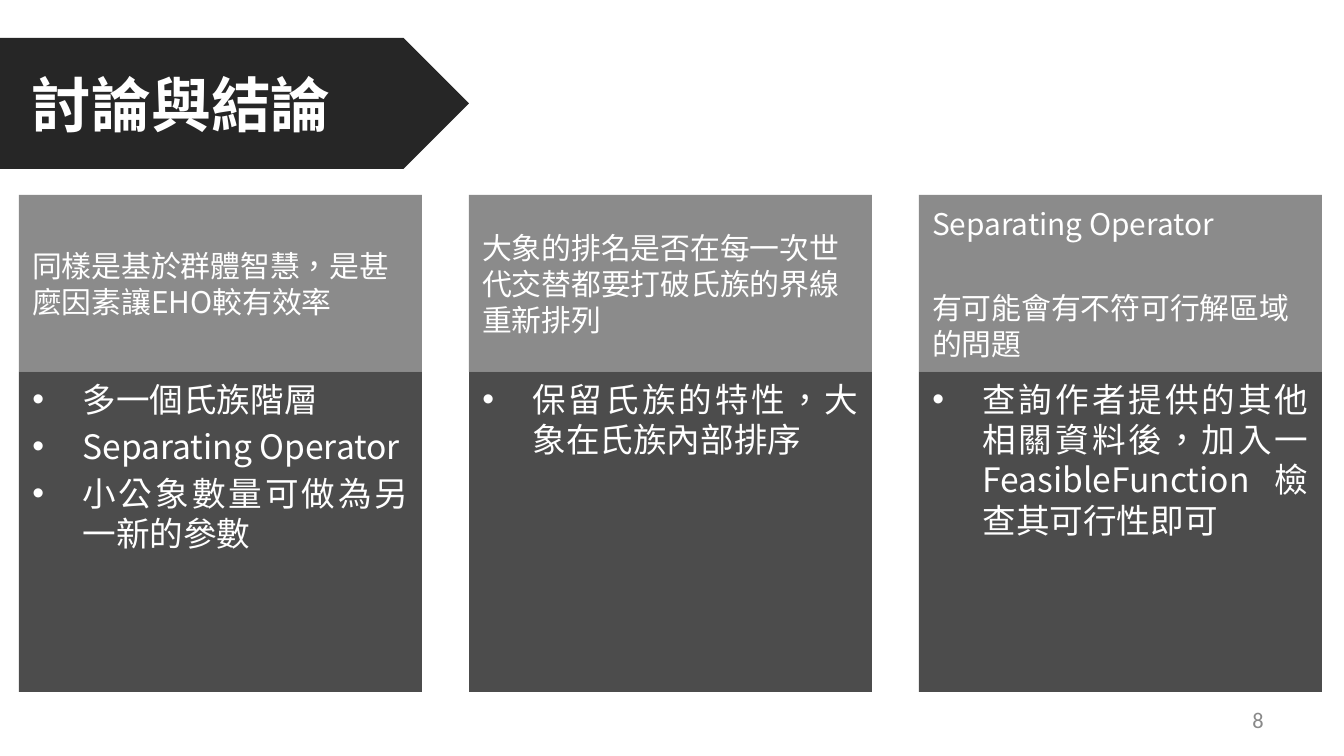
from dataclasses import dataclass

from lxml import etree
from pptx import Presentation
from pptx.dml.color import RGBColor
from pptx.enum.lang import MSO_LANGUAGE_ID
from pptx.enum.shapes import MSO_SHAPE
from pptx.enum.text import MSO_ANCHOR, MSO_AUTO_SIZE, PP_ALIGN
from pptx.oxml.ns import qn
from pptx.util import Pt

PLATE, RECT = MSO_SHAPE.PENTAGON, MSO_SHAPE.RECTANGLE
TOP, MIDDLE = MSO_ANCHOR.TOP, MSO_ANCHOR.MIDDLE
LEFT, CENTER, RIGHT = PP_ALIGN.LEFT, PP_ALIGN.CENTER, PP_ALIGN.RIGHT
JUSTIFY = PP_ALIGN.JUSTIFY
NO_FIT = MSO_AUTO_SIZE.NONE
ZH_TW = MSO_LANGUAGE_ID.TRADITIONAL_CHINESE
EMU = 914400 / 134.4  # one px


@dataclass(frozen=True)
class Theme:
    font: str = "Noto Sans CJK SC"
    plain: str = "Calibri"
    white: str = "FFFFFF"
    plate: str = "262626"
    head: str = "808080"
    body: str = "000000"
    note: str = "898989"
    title_size: int = 32
    head_size: int = 16
    list_size: int = 18
    note_size: int = 12


@dataclass(frozen=True)
class Box:
    x: int
    y: int
    w: int
    h: int


@dataclass(frozen=True)
class Style:
    size: int
    color: str
    font: str
    align: PP_ALIGN
    anchor: MSO_ANCHOR = MIDDLE
    bold: bool = False
    gap: float = 0
    bullet: bool = False


@dataclass(frozen=True)
class Card:
    head: list[str]
    points: list[str]


THEME = Theme()
TITLE = Style(THEME.title_size, THEME.white, THEME.font, CENTER, bold=True)
HEAD = Style(THEME.head_size, THEME.white, THEME.font, LEFT, gap=25.7)
LIST = Style(THEME.list_size, THEME.white, THEME.font, JUSTIFY, TOP,
             gap=3.6, bullet=True)
NOTE = Style(THEME.note_size, THEME.note, THEME.plain, RIGHT)

CARDS = [
    Card(["同樣是基於群體智慧，是甚麼因素讓EHO較有效率"],
         ["多一個氏族階層", "Separating Operator",
          "小公象數量可做為另一新的參數"]),
    Card(["大象的排名是否在每一次世代交替都要打破氏族的界線重新排列"],
         ["保留氏族的特性，大象在氏族內部排序"]),
    Card(["Separating Operator", "有可能會有不符可行解區域的問題"],
         ["查詢作者提供的其他相關資料後，加入一FeasibleFunction檢查其可行性即可"]),
]


def px(n: float) -> int:
    return round(n * EMU)


def frame(box: Box) -> list[int]:
    return [px(n) for n in (box.x, box.y, box.w, box.h)]


def place(shape, box: Box) -> None:
    for name, value in zip(("left", "top", "width", "height"), frame(box)):
        setattr(shape, name, value)


def paint(shape, color: str, alpha: int = 100) -> None:
    shape.fill.solid()
    shape.fill.fore_color.rgb = RGBColor.from_string(color)
    if alpha < 100:
        tone = shape.fill._xPr.find(qn("a:solidFill"))[0]
        etree.SubElement(tone, qn("a:alpha"), val=str(alpha * 1000))


def add_bullet(para) -> None:
    props = para._p.get_or_add_pPr()
    props.set("marL", str(px(50)))
    props.set("indent", str(-px(50)))
    etree.SubElement(props, qn("a:buFont"), typeface="Arial")
    etree.SubElement(props, qn("a:buChar"), char="•")


def write(shape, lines: list[str], style: Style) -> None:
    text = shape.text_frame
    setup = {"word_wrap": True, "auto_size": NO_FIT,
             "vertical_anchor": style.anchor}
    for name, value in setup.items():
        setattr(text, name, value)
    looks = {"name": style.font, "size": Pt(style.size), "bold": style.bold,
             "language_id": ZH_TW}
    for i, line in enumerate(lines):
        para = text.add_paragraph() if i else text.paragraphs[0]
        if style.bullet:
            add_bullet(para)
        para.alignment = style.align
        para.space_before = Pt(style.gap if i else 0)
        run = para.add_run()
        run.text = line
        for name, value in looks.items():
            setattr(run.font, name, value)
        run.font.color.rgb = RGBColor.from_string(style.color)
        etree.SubElement(run._r.get_or_add_rPr(), qn("a:ea"),
                         typeface=style.font)


def add_block(slide, kind: MSO_SHAPE, box: Box, color: str, alpha: int = 100):
    shape = slide.shapes.add_shape(kind, *frame(box))
    shape.shadow.inherit = False
    shape.line.fill.background()
    paint(shape, color, alpha)
    return shape


def draw_card(slide, card: Card, body, x: int) -> None:
    head = add_block(slide, RECT, Box(x, 195, 403, 177), THEME.head, 91)
    write(head, card.head, HEAD)
    place(body, Box(x, 372, 403, 320))
    paint(body, THEME.body, 70)
    write(body, card.points, LIST)


def main() -> None:
    deck = Presentation()
    deck.slide_width, deck.slide_height = px(1344), px(756)
    slide = deck.slides.add_slide(deck.slide_layouts[4])
    title, *bodies = slide.placeholders

    # Title on its arrow plate, which goes to the back
    plate = add_block(slide, PLATE, Box(-73, 38, 542, 131), THEME.plate)
    slide.shapes._spTree.insert(2, plate._element)
    place(title, Box(-73, 38, 509, 131))
    write(title, ["討論與結論"], TITLE)

    # Three question and answer cards
    for i, (card, body) in enumerate(zip(CARDS, bodies)):
        draw_card(slide, card, body, 19 + 450 * i)
    for spare in bodies[len(CARDS):]:
        spare._element.getparent().remove(spare._element)

    # Slide number
    note = slide.shapes.add_textbox(*frame(Box(964, 700, 313, 40)))
    write(note, ["8"], NOTE)

    deck.save("out.pptx")


if __name__ == "__main__":
    main()
